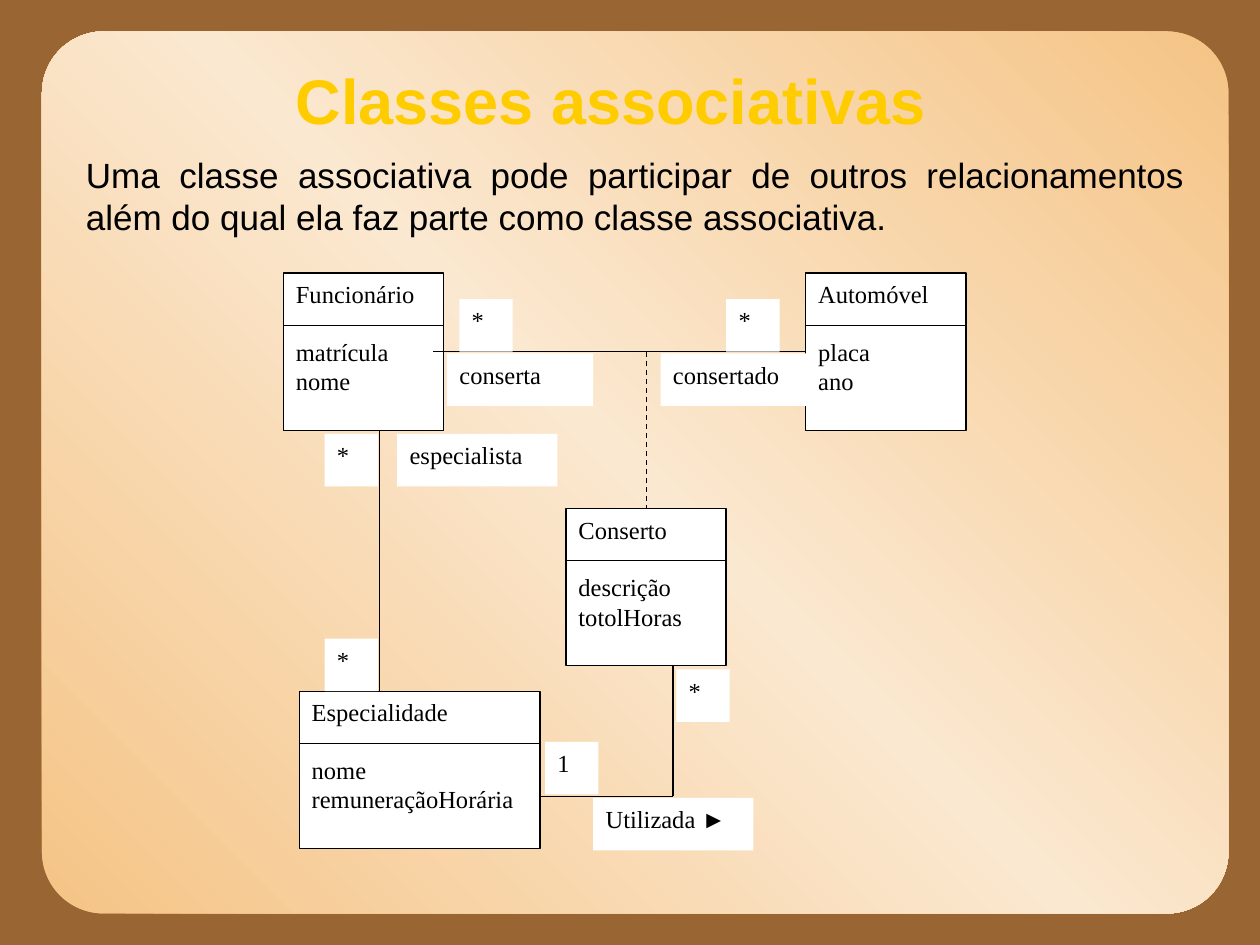
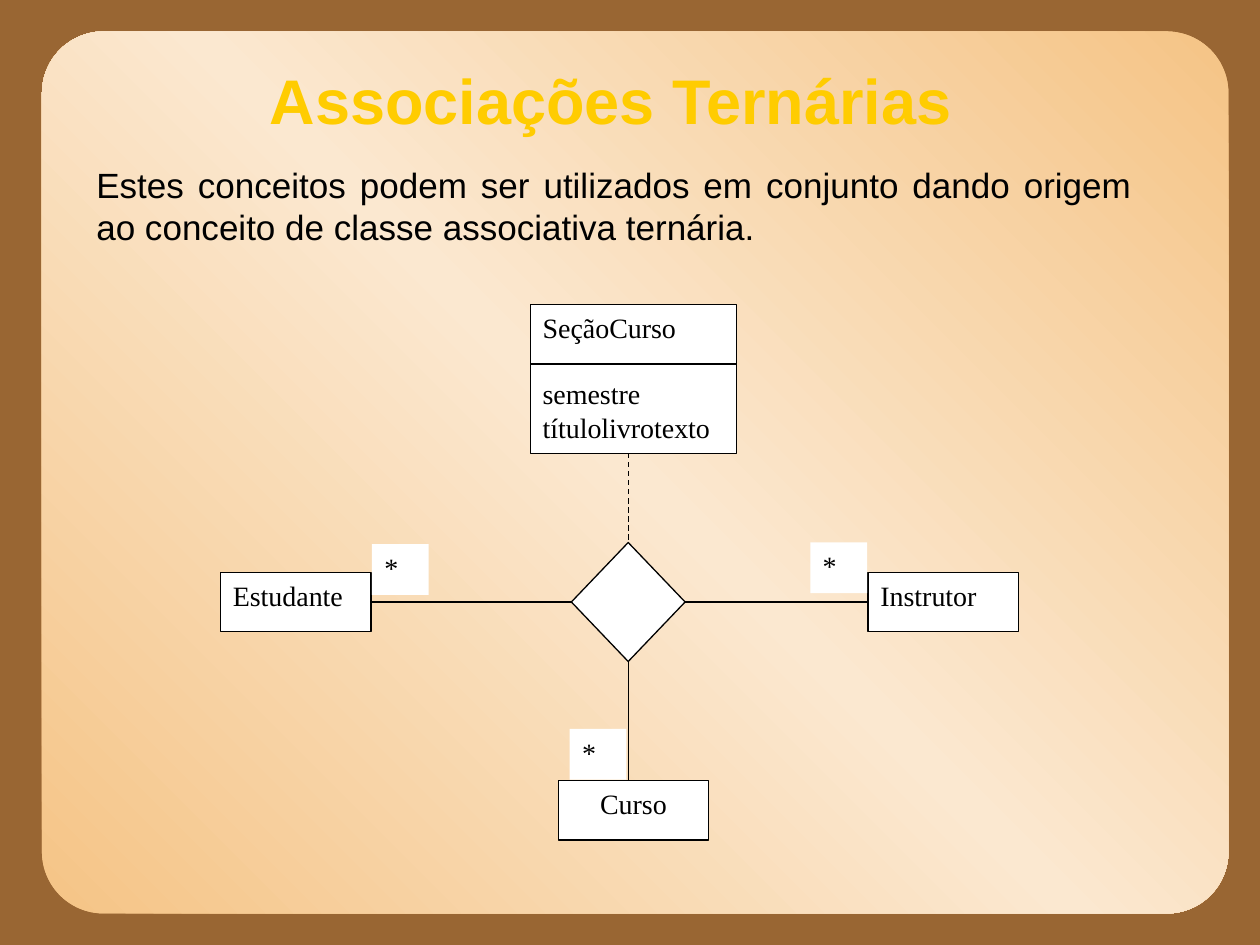
from copy import deepcopy

from lxml.etree import SubElement
from pptx import Presentation
from pptx.dml.color import RGBColor
from pptx.enum.dml import MSO_LINE_DASH_STYLE as Dash
from pptx.enum.shapes import MSO_CONNECTOR as Connector, MSO_SHAPE as Shape
from pptx.enum.text import MSO_ANCHOR as Anchor, PP_ALIGN as Align
from pptx.oxml.ns import qn
from pptx.util import Pt

BROWN, SAND, CREAM = "996633", "F5C486", "FBE8D0"
GOLD, BLACK, WHITE = "FFCC00", "000000", "FFFFFF"
SANS, SERIF = "Arial", "Times New Roman"
THIN = 0.75
LINE_HEIGHT = 1.15
TOP, LEFT, BOTTOM, RIGHT = range(4)


def color(code):
    """Turn a hex string into a colour."""
    return RGBColor.from_string(code)


class Diagram:
    """Draws class diagrams in one style on the current slide."""

    def __init__(self):
        """Open a 10 by 7.5 inch deck."""
        self.deck = Presentation()
        self.deck.slide_width, self.deck.slide_height = Pt(720), Pt(540)
        self.page = None
        self.size = 14

    def new_page(self, title, size):
        """Add a slide with backdrop and title; size is the diagram's text size."""
        self.page = self.deck.slides.add_slide(self.deck.slide_layouts[6])
        self.size = size
        self.page.background.fill.solid()
        self.page.background.fill.fore_color.rgb = color(BROWN)
        self.panel()
        box = self.text_box(54, 24, 612, 66)
        box.margin_right = Pt(29)
        box.vertical_anchor = Anchor.MIDDLE
        self.add_span(box.paragraphs[0], title, 36, SANS, GOLD, Align.CENTER, bold=True)

    def panel(self):
        """Draw the rounded panel with its diagonal gradient."""
        panel = self.shape(Shape.ROUNDED_RECTANGLE, 24, 18, 678, 504, outlined=False)
        panel.adjustments[0] = 0.07
        panel.fill.gradient()
        panel.fill.gradient_angle = 45
        first = panel._element.spPr.find(".//" + qn("a:gs"))
        first.addnext(deepcopy(first))
        for stop, position, code in zip(panel.fill.gradient_stops, (0, 0.5, 1), (SAND, CREAM, SAND)):
            stop.position = position
            stop.color.rgb = color(code)

    def text_box(self, x, y, width, height):
        """Add a wrapping text box and return its frame."""
        box = self.page.shapes.add_textbox(Pt(x), Pt(y), Pt(width), Pt(height)).text_frame
        box.word_wrap = True
        return box

    def add_span(self, para, text, size, font, code=BLACK, align=Align.LEFT, bold=False):
        """Put one run of text into a paragraph."""
        para.alignment = align
        span = para.add_run()
        span.text = text
        span.font.size, span.font.name, span.font.bold = Pt(size), font, bold
        span.font.color.rgb = color(code)

    def intro(self, text, x, y, width):
        """Add the justified introduction."""
        para = self.text_box(x, y, width, 55.5).paragraphs[0]
        para.space_before = Pt(12.5)
        self.add_span(para, text, 20, SANS, align=Align.JUSTIFY)

    def shape(self, kind, x, y, width, height, outlined=True):
        """Add a white shape, with a thin outline if wanted."""
        shape = self.page.shapes.add_shape(kind, Pt(x), Pt(y), Pt(width), Pt(height))
        shape.shadow.inherit = False
        shape.fill.solid()
        shape.fill.fore_color.rgb = color(WHITE)
        if outlined:
            shape.line.color.rgb = color(BLACK)
            shape.line.width = Pt(THIN)
        else:
            shape.line.fill.background()
        return shape

    def box(self, text, x, y, width, height, align=Align.LEFT, outlined=True):
        """Add a rectangle with text at its top."""
        box = self.shape(Shape.RECTANGLE, x, y, width, height, outlined)
        box.text_frame.word_wrap = True
        box.text_frame.vertical_anchor = Anchor.TOP
        self.add_span(box.text_frame.paragraphs[0], text, self.size, SERIF, align=align)
        return box

    def class_box(self, name, attributes, x, y, width, height, header):
        """Add a class with its name above a divider and its attributes below."""
        box = self.box(name, x, y, width, height)
        for index, attribute in enumerate(attributes):
            para = box.text_frame.add_paragraph()
            if index == 0:
                para.space_before = Pt(self.size * LINE_HEIGHT)
            self.add_span(para, attribute, self.size, SERIF)
        self.line(x, y + header, x + width, y + header)
        return box

    def labels(self, items, width, height):
        """Add borderless labels of one size from (text, x, y) items."""
        for text, x, y in items:
            self.box(text, x, y, width, height, outlined=False)

    def line(self, x1, y1, x2, y2, begin=None, end=None, dashed=False):
        """Add a line; begin and end are (shape, side) pairs to join."""
        line = self.page.shapes.add_connector(Connector.STRAIGHT, Pt(x1), Pt(y1), Pt(x2), Pt(y2))
        line.line.color.rgb = color(BLACK)
        line.line.width = Pt(THIN)
        if dashed:
            line.line.dash_style = Dash.DASH
        SubElement(line._element.spPr, qn("a:effectLst"))
        if begin:
            line.begin_connect(*begin)
        if end:
            line.end_connect(*end)


def association_classes(diagram):
    """Build the slide on association classes."""
    diagram.new_page("Classes associativas", 14)
    diagram.intro("Uma classe associativa pode participar de outros relacionamentos "
                  "além do qual ela faz parte como classe associativa.", 42, 84, 642)
    width, height, header = 91.5, 90, 30
    diagram.class_box("Funcionário", ("matrícula", "nome"), 162, 156, width, height, header)
    car = diagram.class_box("Automóvel", ("placa", "ano"), 460.5, 156, width, height, header)
    repair = diagram.class_box("Conserto", ("descrição", "totolHoras"),
                               323.5, 290.5, width, height, header)
    diagram.class_box("Especialidade", ("nome", "remuneraçãoHorária"),
                      171, 395, 137.5, height, header)
    diagram.line(247.5, 201, 460.5, 201, end=(car, LEFT))
    diagram.line(217, 246, 217, 395)
    diagram.line(308.5, 455, 384.5, 455)
    diagram.line(384.5, 380.5, 384.5, 455)
    diagram.line(369.25, 201, 369.25, 290.5, end=(repair, TOP), dashed=True)
    diagram.labels((("*", 262.5, 171), ("*", 415, 171), ("*", 185.5, 248), ("*", 185.5, 365),
                    ("*", 386.5, 382.5), ("1", 311.5, 424)), 30.5, 30)
    diagram.labels((("conserta", 255.5, 202), ("consertado", 377.5, 202)), 83.5, 30)
    diagram.labels((("especialista", 227, 248), ("Utilizada ►", 339, 456)), width, 30)


def ternary_associations(diagram):
    """Build the slide on ternary associations."""
    diagram.new_page("Associações Ternárias", 16)
    diagram.intro("Estes conceitos podem ser utilizados em conjunto dando origem "
                  "ao conceito de classe associativa ternária.", 48, 90, 606)
    width, height, middle = 86, 34, 344
    diagram.class_box("SeçãoCurso", ("semestre", "títulolivrotexto"), 303, 174, 118, 85, 34)
    student = diagram.box("Estudante", 126, middle - height / 2, width, height)
    teacher = diagram.box("Instrutor", 496, middle - height / 2, width, height)
    diagram.box("Curso", 319, 446, width, height, Align.CENTER)
    hub = diagram.shape(Shape.DIAMOND, 326.5, 310, 65, 68)
    diagram.line(212, middle, 326.5, middle, (student, RIGHT), (hub, LEFT))
    diagram.line(391.5, middle, 496, middle, (hub, RIGHT), (teacher, LEFT))
    diagram.line(359, 378, 359, 446, begin=(hub, BOTTOM))
    diagram.line(359, 259, 359, 310, end=(hub, TOP), dashed=True)
    diagram.labels((("*", 212.5, 311), ("*", 463, 310), ("*", 325.5, 416.5)), 32.5, 29)


def main():
    """Build and save the deck."""
    diagram = Diagram()
    association_classes(diagram)
    ternary_associations(diagram)
    diagram.deck.save("out.pptx")


if __name__ == "__main__":
    main()
